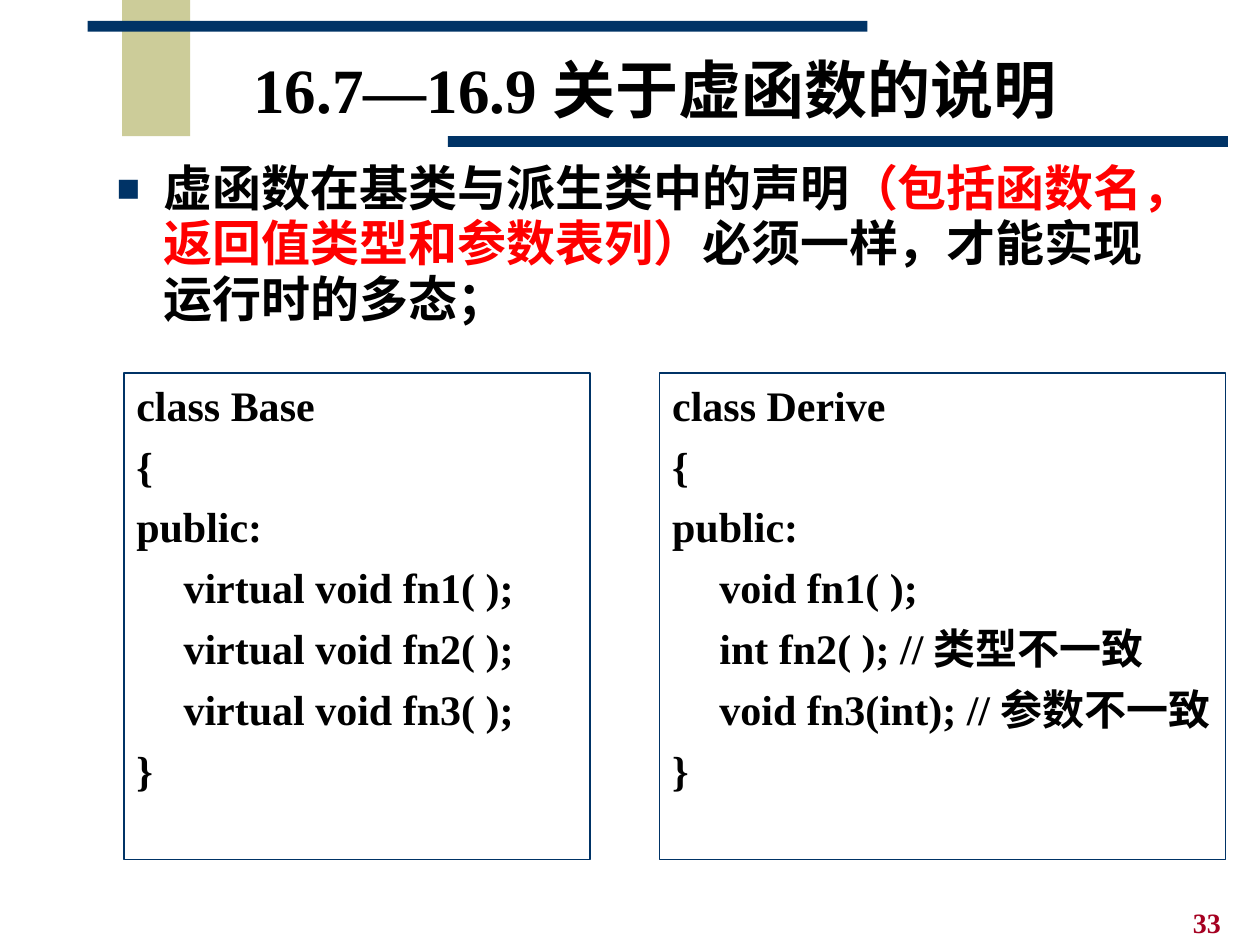
from lxml.etree import SubElement
from pptx import Presentation
from pptx.dml.color import RGBColor
from pptx.enum.shapes import MSO_SHAPE
from pptx.enum.text import MSO_ANCHOR, MSO_AUTO_SIZE, PP_ALIGN
from pptx.oxml.ns import qn
from pptx.util import Pt

NAVY = RGBColor(0x00, 0x33, 0x66)
SAND = RGBColor(0xCC, 0xCC, 0x99)
BLACK = RGBColor(0, 0, 0)
RED = RGBColor(0xFF, 0, 0)
WINE = RGBColor(0xA5, 0x00, 0x21)
SERIF = "Times New Roman"
SANS = "Arial"
HANG = 27

BASE = [
    "class Base", "{", "public:",
    "\tvirtual void fn1( );",
    "\tvirtual void fn2( );",
    "\tvirtual void fn3( );",
    "}",
]
DERIVE = [
    "class Derive", "{", "public:",
    "\tvoid fn1( );",
    ["\tint fn2( ); //", ("类型不一致", BLACK, SANS)],
    ["\tvoid fn3(int); //", ("参数不一致", BLACK, SANS)],
    "}",
]


def place(shape, left, top, width, height):
    shape.left, shape.top = Pt(left), Pt(top)
    shape.width, shape.height = Pt(width), Pt(height)


def add_rect(slide, box, fill=None, line=None):
    rect = slide.shapes.add_shape(MSO_SHAPE.RECTANGLE, *map(Pt, box))
    rect.shadow.inherit = False
    if fill is None:
        rect.fill.background()
    else:
        rect.fill.solid()
        rect.fill.fore_color.rgb = fill
    if line is None:
        rect.line.fill.background()
    else:
        rect.line.color.rgb = line
        rect.line.width = Pt(0.75)
    return rect


def add_bullet(para):
    props = para._p.get_or_add_pPr()
    color = SubElement(props, qn("a:buClr"))
    SubElement(color, qn("a:srgbClr"), val=str(NAVY))
    SubElement(props, qn("a:buSzPct"), val="80000")
    SubElement(props, qn("a:buFont"), typeface=SANS)
    SubElement(props, qn("a:buChar"), char="■")


def write(shape, paras, size, color=BLACK, align=PP_ALIGN.LEFT, gap=0,
          lead=1.0, hang=0, bullet=False, anchor=MSO_ANCHOR.TOP, right=7.2):
    """Fill a shape; a paragraph is a string or a list of strings and
    (text, colour, font) runs. Chinese glyphs are always sans-serif."""
    frame = shape.text_frame
    frame.word_wrap = True
    frame.auto_size = MSO_AUTO_SIZE.NONE
    frame.vertical_anchor = anchor
    frame.margin_left, frame.margin_right = Pt(7.2), Pt(right)
    frame.margin_top = frame.margin_bottom = Pt(3.6)
    for i, runs in enumerate(paras):
        para = frame.add_paragraph() if i else frame.paragraphs[0]
        if bullet:
            add_bullet(para)
        if hang:
            props = para._p.get_or_add_pPr()
            props.set("marL", str(Pt(hang)))
            props.set("indent", str(-Pt(hang)))
        para.alignment = align
        para.line_spacing = lead
        para.space_before = Pt(gap if i else 0)
        for part in [runs] if isinstance(runs, str) else runs:
            text, tint, face = (part, color, SERIF) if isinstance(part, str) else part
            run = para.add_run()
            run.text = text
            font = run.font
            font.size, font.bold, font.name = Pt(size), True, face
            font.color.rgb = tint
            SubElement(run._r.get_or_add_rPr(), qn("a:ea"), typeface=SANS)


def add_code(slide, left, width, lines):
    box = add_rect(slide, (left, 213.1, width, 278), line=NAVY)
    write(box, lines, 24, gap=6, hang=HANG, right=4)


def main():
    deck = Presentation()
    deck.slide_width, deck.slide_height = Pt(720), Pt(540)
    slide = deck.slides.add_slide(deck.slide_layouts[1])

    add_rect(slide, (69.8, 0, 38.9, 77.8), fill=SAND)
    for left, top in ((50, 11.9), (256, 77.8)):
        add_rect(slide, (left, top, 445.7, 6.2), fill=NAVY)

    title = slide.shapes.title
    place(title, 59.5, 18, 629.3, 72)
    write(title, ["16.7—16.9关于虚函数的说明"], 36, align=PP_ALIGN.CENTER,
          lead=0.85, anchor=MSO_ANCHOR.MIDDLE)

    body = slide.placeholders[1]
    place(body, 59.5, 88.6, 612, 130.3)
    rule = ["虚函数在基类与派生类中的声明",
            ("（包括函数名，返回值类型和参数表列）", RED, SERIF),
            "必须一样，才能实现运行时的多态；"]
    write(body, [rule], 28, lead=0.95, hang=HANG, bullet=True)

    add_code(slide, 70.8, 266.4, BASE)
    add_code(slide, 377, 323.3, DERIVE)

    number = slide.shapes.add_textbox(Pt(674.6), Pt(513.8), Pt(45.4), Pt(26.2))
    write(number, ["33"], 16, color=WINE)

    deck.save("out.pptx")


if __name__ == "__main__":
    main()
